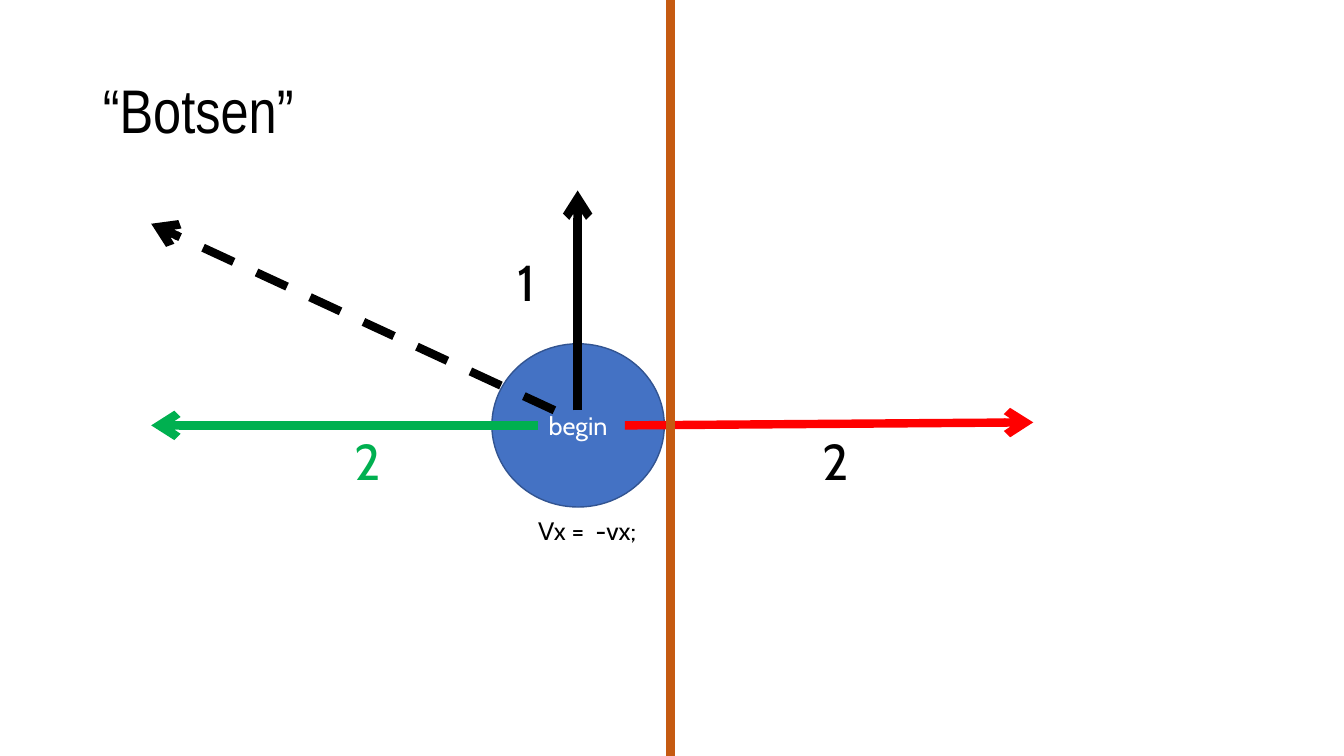
from dataclasses import dataclass

import pptx
import pptx.dml.color
import pptx.enum.dml
import pptx.enum.shapes
import pptx.enum.text
import pptx.oxml
import pptx.oxml.ns
import pptx.util
from pptx.enum.text import MSO_ANCHOR, MSO_AUTO_SIZE, PP_ALIGN


@dataclass(frozen=True)
class Theme:
    black: str = "000000"
    white: str = "FFFFFF"
    red: str = "FF0000"
    green: str = "00B050"
    wall: str = "C55A11"
    ball: str = "4472C4"
    ball_edge: str = "325491"
    title_font: str = "Arial Narrow"
    body_font: str = "Cabin"
    title_size: int = 44
    number_size: int = 36
    body_size: int = 18
    stroke: int = 6


@dataclass(frozen=True)
class Stroke:
    """A straight line; its ends are percentages of the slide's size."""
    start: tuple[float, float]
    end: tuple[float, float]
    color: str
    arrow: bool = True
    dashed: bool = False


@dataclass(frozen=True)
class Label:
    """A text box; its place is in percentages of the slide's size."""
    text: str
    box: tuple[float, float, float, float]
    size: int
    color: str
    wrap: bool = False


THEME = Theme()
WIDTH = pptx.util.Inches(13.33)
HEIGHT = pptx.util.Inches(7.5)
AXIS_Y = 56.27
ORIGIN_Y = 54.27
LEFT_TIP_X = 11.25
UP_X = 42.98
WALL_X = 49.88
NUMBER_BOX = (3.45, 9.47)

STROKES = [
    Stroke((46.5, AXIS_Y), (76.88, 55.87), THEME.red),
    Stroke((UP_X, ORIGIN_Y), (UP_X, 25.2), THEME.black),
    Stroke((WALL_X, 0), (WALL_X, 100), THEME.wall, arrow=False),
    Stroke((40.05, AXIS_Y), (LEFT_TIP_X, AXIS_Y), THEME.green),
    Stroke((41.25, ORIGIN_Y), (LEFT_TIP_X, 29.6), THEME.black, dashed=True),
]
LABELS = [
    Label("2", (60.45, AXIS_Y, *NUMBER_BOX), THEME.number_size, THEME.black),
    Label("1", (37.8, 32.53, *NUMBER_BOX), THEME.number_size, THEME.black),
    Label("2", (25.65, AXIS_Y, *NUMBER_BOX), THEME.number_size, THEME.green),
    Label("Vx =  -vx;", (39.3, 67.47, 9.3, 5.33), THEME.body_size, THEME.black, wrap=True),
]


def share(*values: float) -> list[int]:
    """Turn alternating x and y percentages into slide lengths."""
    return [round(v / 100 * (HEIGHT if i % 2 else WIDTH)) for i, v in enumerate(values)]


def rgb(color: str) -> pptx.dml.color.RGBColor:
    return pptx.dml.color.RGBColor.from_string(color)


def write(tf, text: str, *, size: int, color: str, font: str = THEME.body_font,
          align: PP_ALIGN = PP_ALIGN.LEFT, anchor: MSO_ANCHOR = MSO_ANCHOR.TOP,
          spacing: float = 1.0, wrap: bool = True,
          auto_size: MSO_AUTO_SIZE = MSO_AUTO_SIZE.NONE) -> None:
    tf.word_wrap = wrap
    tf.auto_size = auto_size
    tf.vertical_anchor = anchor
    p = tf.paragraphs[0]
    p.alignment = align
    p.line_spacing = spacing
    r = p.add_run()
    r.text = text
    r.font.name = font
    r.font.size = pptx.util.Pt(size)
    r.font.color.rgb = rgb(color)


def add_title(s) -> None:
    sp = s.shapes.title
    sp.left, sp.top, sp.width, sp.height = share(6.9, 5.33, 86.25, 19.33)
    write(sp.text_frame, "“Botsen”", size=THEME.title_size, color=THEME.black,
          font=THEME.title_font, anchor=MSO_ANCHOR.MIDDLE, spacing=0.9)


def add_ball(s) -> None:
    sp = s.shapes.add_shape(pptx.enum.shapes.MSO_SHAPE.OVAL, *share(36.6, 45.47, 12.83, 21.6))
    sp.shadow.inherit = False
    sp.fill.solid()
    sp.fill.fore_color.rgb = rgb(THEME.ball)
    sp.line.color.rgb = rgb(THEME.ball_edge)
    sp.line.width = pptx.util.Pt(1)
    write(sp.text_frame, "begin", size=THEME.body_size, color=THEME.white,
          align=PP_ALIGN.CENTER, anchor=MSO_ANCHOR.MIDDLE)


def add_stroke(s, stroke: Stroke) -> None:
    cx = s.shapes.add_connector(pptx.enum.shapes.MSO_CONNECTOR.STRAIGHT,
                                *share(*stroke.start, *stroke.end))
    cx.line.color.rgb = rgb(stroke.color)
    cx.line.width = pptx.util.Pt(THEME.stroke)
    if stroke.dashed:
        cx.line.dash_style = pptx.enum.dml.MSO_LINE.DASH
    spPr = cx._element.spPr
    if stroke.arrow:
        tail = pptx.oxml.parse_xml(f'<a:tailEnd {pptx.oxml.ns.nsdecls("a")} type="arrow"/>')
        spPr.find(pptx.oxml.ns.qn("a:ln")).append(tail)
    spPr.append(pptx.oxml.parse_xml(f'<a:effectLst {pptx.oxml.ns.nsdecls("a")}/>'))


def add_label(s, label: Label) -> None:
    sp = s.shapes.add_textbox(*share(*label.box))
    write(sp.text_frame, label.text, size=label.size, color=label.color,
          wrap=label.wrap, auto_size=MSO_AUTO_SIZE.SHAPE_TO_FIT_TEXT)


def main() -> None:
    prs = pptx.Presentation()
    prs.slide_width, prs.slide_height = WIDTH, HEIGHT
    s = prs.slides.add_slide(prs.slide_layouts.get_by_name("Title Only"))
    add_title(s)
    add_ball(s)
    for stroke in STROKES:
        add_stroke(s, stroke)
    for label in LABELS:
        add_label(s, label)
    prs.save("out.pptx")


if __name__ == "__main__":
    main()
